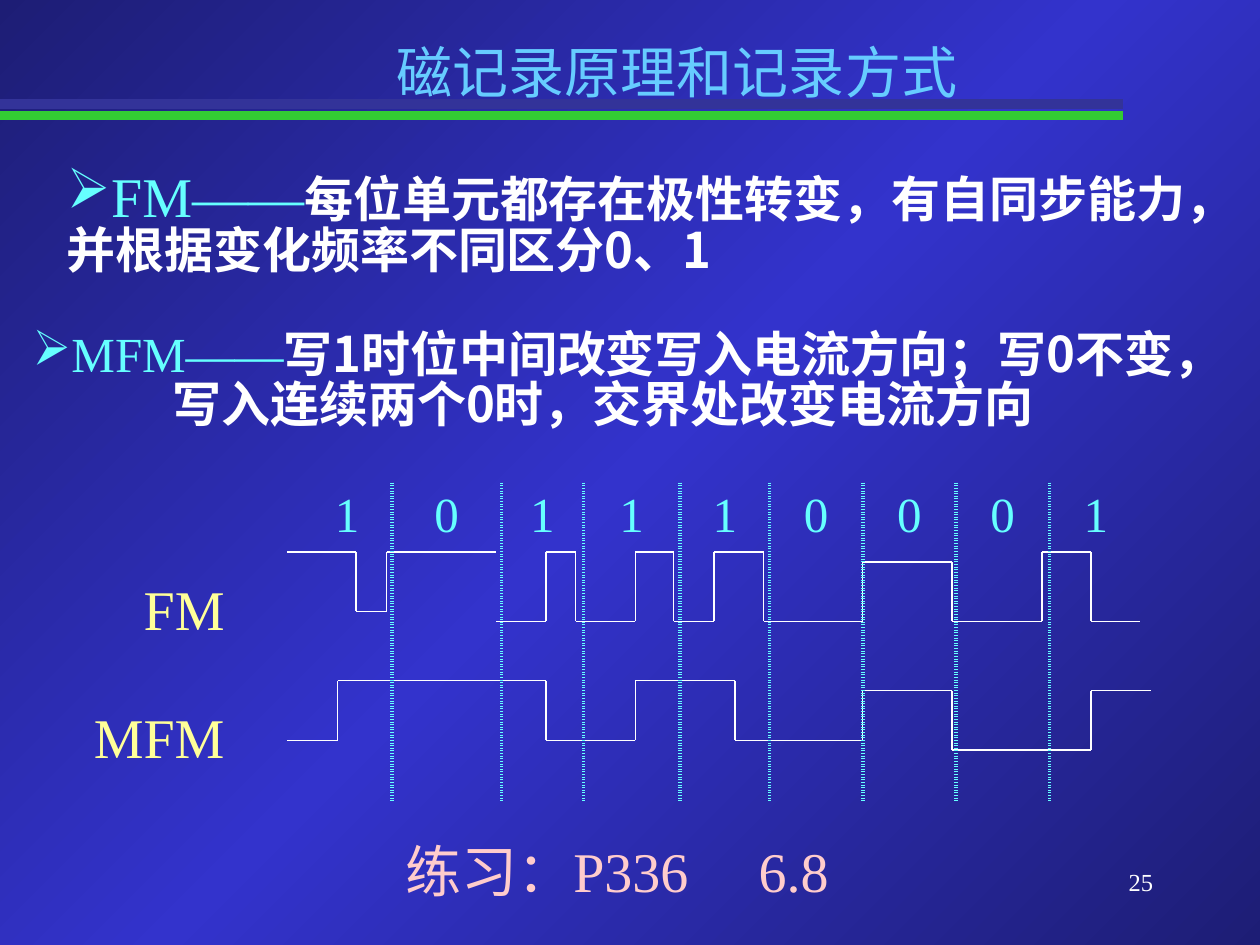
from copy import deepcopy
from itertools import pairwise

from pptx import Presentation
from pptx.dml.color import RGBColor
from pptx.enum import shapes, text
from pptx.oxml import ns, xmlchemy
from pptx.util import Pt

SANS, SERIF = "Noto Sans CJK SC", "Times New Roman"
WHITE, AQUA, YELLOW = "FFFFFF", "66FFFF", "FFFF99"
LEFT, CENTER, RIGHT = text.PP_ALIGN.LEFT, text.PP_ALIGN.CENTER, text.PP_ALIGN.RIGHT


def rgb(value):
    """Turn a hex string into a colour."""
    return RGBColor.from_string(value)


def add_child(parent, tag, **attributes):
    """Append a DrawingML element and return it."""
    child = xmlchemy.OxmlElement(tag)
    for key, value in attributes.items():
        child.set(key, value)
    parent.append(child)
    return child


def style(run, size, face, color, bold=False):
    """Set the font of a run for Latin and East Asian letters."""
    run.font.size, run.font.name, run.font.bold = Pt(size), face, bold
    run.font.color.rgb = rgb(color)
    add_child(run.font._element, "a:ea", typeface=SANS)


def add_text(slide, box, words, size, face, color, align, anchor=text.MSO_ANCHOR.TOP):
    """Add one line of text in a box."""
    frame = slide.shapes.add_textbox(*map(Pt, box)).text_frame
    frame.word_wrap = True
    frame.vertical_anchor = anchor
    frame.text = words
    frame.paragraphs[0].alignment = align
    for run in frame.paragraphs[0].runs:
        style(run, size, face, color)
    return frame


def add_line(slide, start, end, color, width):
    """Draw a straight line without a shadow."""
    line = slide.shapes.add_connector(
        shapes.MSO_CONNECTOR.STRAIGHT, *map(Pt, (*start, *end)))
    line.line.color.rgb = rgb(color)
    line.line.width = Pt(width)
    add_child(line._element.spPr, "a:effectLst")


def add_background(slide):
    """Fill the slide with a diagonal gradient, bright in the middle."""
    fill = slide.background.fill
    fill.gradient()
    fill.gradient_angle = 315
    stops = slide.element.find(".//" + ns.qn("a:gsLst"))
    stops.append(deepcopy(stops[-1]))
    shades = (0, "1D1D75"), (0.5, "3333CC"), (1, "1D1D75")
    for stop, (position, color) in zip(fill.gradient_stops, shades):
        stop.position = position
        stop.color.rgb = rgb(color)


def add_heading(slide, left, top, width):
    """Place the title over its two rules."""
    for y, color in ((48, "33CC33"), (41.5, "333399")):
        add_line(slide, (left, top + y), (left + width, top + y), color, 5.5)
    add_text(slide, (left + 120, top, 534, 45), "磁记录原理和记录方式",
             32, SANS, "66CCFF", CENTER, text.MSO_ANCHOR.MIDDLE)


def add_definition(slide, box, term, meaning, size, align, inset):
    """Place a bulleted term followed by its meaning."""
    frame = add_text(slide, box, term, size, SERIF, AQUA, align)
    frame.margin_top = Pt(inset)
    paragraph = frame.paragraphs[0]
    paragraph.line_spacing = 0.85
    add_child(paragraph._p.get_or_add_pPr(), "a:buChar", char="➢")
    run = paragraph.add_run()
    run.text = meaning
    style(run, 28, SANS, WHITE, True)


def add_wave(slide, left, top, label, steps, end):
    """Draw a labelled square wave whose steps give the x and y of each level."""
    points = []
    for (x, y), (next_x, _) in pairwise([*steps, (end, 0)]):
        points += [(left + x, top + y), (left + next_x, top + y)]
    for start, stop in pairwise(points):
        add_line(slide, start, stop, WHITE, 0.75)
    if label:
        frame = add_text(slide, (left - 144.5, top + 5.8, 116, 45), label,
                         32, SERIF, YELLOW, RIGHT)
        frame.margin_top = Pt(7)


def add_bits(slide, left, top, height, bits, widths):
    """Place the bit cells, parted by dotted lines."""
    table = slide.shapes.add_table(
        1, len(bits), Pt(left), Pt(top), Pt(sum(widths)), Pt(height)).table
    table.first_row = table.horz_banding = False
    table.rows[0].height = Pt(height)
    last = len(bits) - 1
    for index, (bit, width) in enumerate(zip(bits, widths)):
        table.columns[index].width = Pt(width)
        cell = table.cell(0, index)
        cell.text = bit
        paragraph = cell.text_frame.paragraphs[0]
        paragraph.alignment = CENTER
        style(paragraph.runs[0], 28, SERIF, AQUA)
        properties = cell._tc.get_or_add_tcPr()
        dotted = {"a:lnL": index > 0, "a:lnR": index < last, "a:lnT": False, "a:lnB": False}
        for tag, shown in dotted.items():
            border = add_child(properties, tag, w=str(Pt(2.25)))
            if shown:
                add_child(add_child(border, "a:solidFill"), "a:srgbClr", val=AQUA)
                add_child(border, "a:prstDash", val="sysDot")
            else:
                add_child(border, "a:noFill")
        cell.fill.background()


def add_exercise(slide, left, top, width):
    """Place the exercise reference with its number at a tab stop."""
    frame = add_text(slide, (left, top, width, 45), "练习：P336\t6.8",
                     32, SERIF, "FFCCCC", LEFT, text.MSO_ANCHOR.MIDDLE)
    frame.margin_left = Pt(212)
    tabs = add_child(frame.paragraphs[0]._p.get_or_add_pPr(), "a:tabLst")
    add_child(tabs, "a:tab", pos=str(Pt(202)), algn="l")


def main():
    """Build the slide."""
    deck = Presentation()
    deck.slide_width, deck.slide_height = Pt(720), Pt(540)
    slide = deck.slides.add_slide(deck.slide_layouts[6])
    add_background(slide)
    add_heading(slide, 0, 18, 642)
    add_definition(slide, (31, 88.6, 689, 79), "FM——",
                   "每位单元都存在极性转变，有自同步能力，并根据变化频率不同区分0、1",
                   32, LEFT, 9.3)
    add_definition(slide, (0, 185, 689, 74), "MFM——",
                   "写1时位中间改变写入电流方向；写0不变，写入连续两个0时，交界处改变电流方向",
                   28, CENTER, 5.3)
    high, low = 0, 39.6
    fm_start = [(0, high), (39.5, 34), (57, high)]
    add_wave(slide, 164, 315.4, "FM", fm_start, 119.5)
    fm_edges = [119.5, 148, 165, 199, 221, 244, 272.5]
    fm_steps = [(x, high if i % 2 else low) for i, x in enumerate(fm_edges)]
    fm_steps += [(329, 5.7), (380, low), (431.5, high), (459.5, low)]
    add_wave(slide, 164, 315.4, "", fm_steps, 487.5)
    mfm_steps = [(0, 34.2), (29, 0), (148, 34.2), (199, 0), (256, 34.2),
                 (329, 5.7), (380, 39.7), (459.5, 5.7)]
    add_wave(slide, 164, 388.9, "MFM", mfm_steps, 493.5)
    add_bits(slide, 172.8, 275.8, 182.9, "101110001",
             (51.1, 62.6, 46.8, 55.4, 51.1, 53.3, 53.3, 53.3, 53.3))
    add_exercise(slide, 19.5, 474.5, 683)
    add_text(slide, (516, 492, 150, 36), "25", 14, SERIF, WHITE, RIGHT)
    deck.save("out.pptx")


if __name__ == "__main__":
    main()
